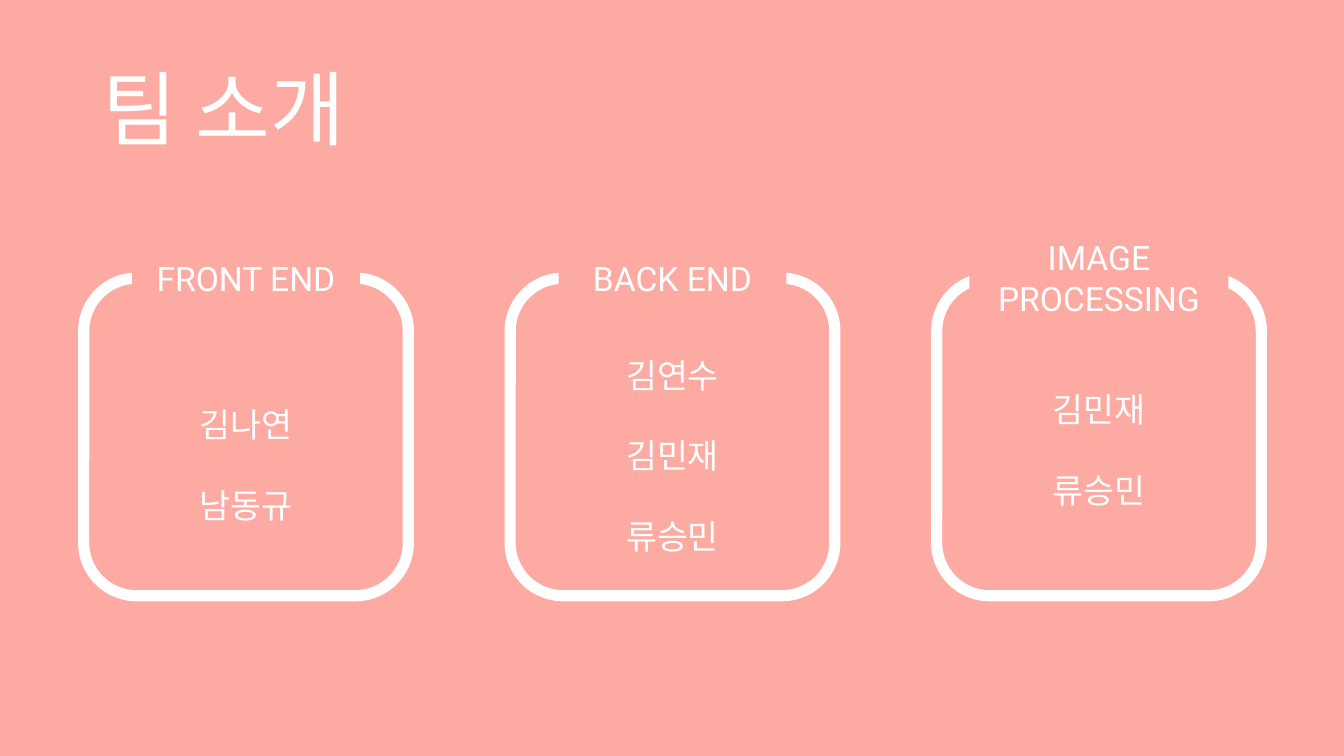
from pptx import Presentation
from pptx.dml.color import RGBColor
from pptx.enum import shapes, text
from pptx.util import Inches, Pt

COLORS = {"background": "FDAAA2", "foreground": "FFFFFF"}
FONT = "Roboto"

# Card grid, in inches
FIRST_LEFT, COLUMN_STEP = 0.83, 4.23
CARD_TOP, CARD_WIDTH, CARD_HEIGHT = 2.76, 3.22, 3.15
NAMES_WIDTH = 2.57

# Heading, heading width and height, members, top and height of the member list
TEAMS = [
    ("FRONT END", 2.26, 0.5, ["김나연", "남동규"], 3.56, 1.56),
    ("BACK END", 2.26, 0.5, ["김연수", "김민재", "류승민"], 3.07, 3.18),
    ("IMAGE PROCESSING", 2.57, 0.91, ["김민재", "류승민"], 3.41, 2.37),
]


def color(name):
    return RGBColor.from_string(COLORS[name])


def write(shape, lines, size, alignment, spacing=1.0, anchor=text.MSO_ANCHOR.TOP):
    frame = shape.text_frame
    frame.word_wrap = True
    frame.vertical_anchor = anchor
    for index, line in enumerate(lines):
        paragraph = frame.paragraphs[0] if index == 0 else frame.add_paragraph()
        paragraph.alignment = alignment
        paragraph.line_spacing = spacing
        run = paragraph.add_run()
        run.text = line
        run.font.name = FONT
        run.font.size = Pt(size)
        run.font.color.rgb = color("foreground")


def add_box(parent, kind, left, top, width, height):
    shape = parent.add_shape(kind, *map(Inches, (left, top, width, height)))
    shape.shadow.inherit = False
    return shape


def add_title(slide, title):
    box = slide.shapes.add_textbox(*map(Inches, (0.92, 0.4, 11.5, 1.45)))
    write(box, [title], 58, text.PP_ALIGN.LEFT, 0.9, text.MSO_ANCHOR.MIDDLE)


def add_team(slide, column, heading, width, height, members, names_top, names_height):
    left = FIRST_LEFT + column * COLUMN_STEP
    center = left + CARD_WIDTH / 2
    group = slide.shapes.add_group_shape().shapes

    # Rounded outline
    outline = add_box(group, shapes.MSO_SHAPE.ROUNDED_RECTANGLE,
                      left, CARD_TOP, CARD_WIDTH, CARD_HEIGHT)
    outline.fill.background()
    outline.line.color.rgb = color("foreground")
    outline.line.width = Pt(8)

    # Heading that interrupts the outline's top edge
    label = add_box(group, shapes.MSO_SHAPE.RECTANGLE,
                    center - width / 2, CARD_TOP - height / 2, width, height)
    label.fill.solid()
    label.fill.fore_color.rgb = color("background")
    label.line.fill.background()
    write(label, [heading], 24, text.PP_ALIGN.CENTER)

    # Members
    names = group.add_textbox(*map(Inches, (center - NAMES_WIDTH / 2, names_top,
                                            NAMES_WIDTH, names_height)))
    write(names, members, 24, text.PP_ALIGN.CENTER, 2.0)


def main():
    presentation = Presentation()
    presentation.slide_width = Inches(13.33)
    presentation.slide_height = Inches(7.5)
    slide = presentation.slides.add_slide(presentation.slide_layouts[6])
    slide.background.fill.solid()
    slide.background.fill.fore_color.rgb = color("background")

    add_title(slide, "팀 소개")
    for column, team in enumerate(TEAMS):
        add_team(slide, column, *team)
    presentation.save("out.pptx")


if __name__ == "__main__":
    main()
